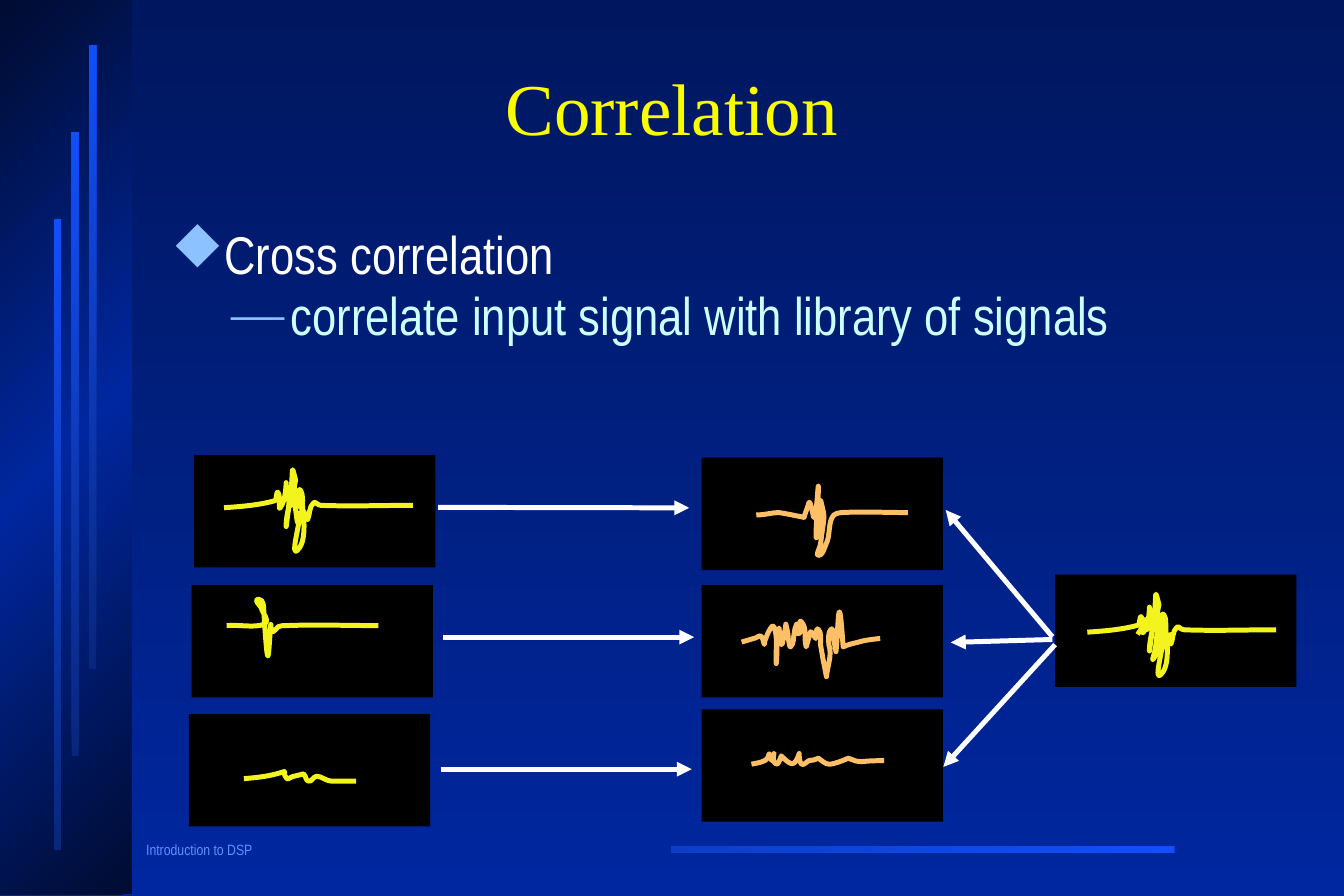
from lxml import etree
from pptx import Presentation
from pptx.dml.color import RGBColor
from pptx.enum.shapes import MSO_CONNECTOR, MSO_SHAPE
from pptx.enum.text import MSO_ANCHOR, PP_ALIGN
from pptx.oxml.ns import qn
from pptx.util import Pt

RECTANGLE = MSO_SHAPE.RECTANGLE
STRAIGHT = MSO_CONNECTOR.STRAIGHT
LEFT, CENTER = PP_ALIGN.LEFT, PP_ALIGN.CENTER
TOP, MIDDLE = MSO_ANCHOR.TOP, MSO_ANCHOR.MIDDLE
BODY_FONT, TITLE_FONT, SYMBOL_FONT = "Arial Narrow", "Times New Roman", "Wingdings"
YELLOW, ORANGE, WHITE, BULLET = "F3F31D", "FEC066", "FFFFFF", "8CC2FF"

GRID = 0.72  # points per trace unit
PANEL_SIZE = (145.4, 67.7)

# Traces: a start point, then three Bezier points per curve
PULSE = """188,425 202,424 217,423 231,419 232,417 232,411 233,412 236,416 233,428 235,425
240,419 240,404 240,404 240,408 241,412 242,417 242,419 243,425 244,423 247,417 246,409 248,402
244,387 246,392 244,412 243,417 242,422 242,427 241,431 240,444 240,440 240,435 241,430 242,425
243,421 246,412 246,412 247,417 247,422 248,427 250,441 249,440 252,429 251,440 243,468 250,460
258,452 254,427 254,427 253,422 255,415 252,410 250,407 249,417 250,421 250,423 253,425 254,427
256,430 257,433 258,435 260,431 259,424 263,421 264,419 266,423 269,423 294,424 320,423 346,423"""
SPIKE = """190,524 200,523 213,526 221,523 227,520 220,514 219,509 218,507 212,502 217,502
221,502 221,509 221,509 225,576 225,544 227,523 228,525 226,527 229,529 231,529 231,526 233,525
235,524 237,524 240,524 265,523 291,524 317,524"""
RIPPLE = """204,652 216,651 226,650 238,646 238,648 238,651 240,652 241,653 244,650 246,650
249,649 251,649 254,648 256,650 256,654 258,654 261,655 262,650 265,650 269,650 273,654 277,654
284,654 291,654 298,654"""
PULSE_NOISE = """952,531 953,529 955,527 956,525 960,518 957,514 960,527 962,525 964,523 965,521
968,514 965,509 969,525 968,531 968,536 967,542 965,553 962,556 969,546 970,535 972,527 975,517
974,525 973,533 973,542 973,544 973,536 975,533 976,532 981,531 981,531"""
SHARP_MATCH = """633,431 640,431 646,429 652,429 659,430 673,433 673,433 674,429 676,425 677,421
678,417 681,433 681,433 682,431 683,429 683,427 684,421 685,402 685,408 685,422 683,436 683,450
683,453 685,443 685,440 686,433 687,426 687,419 691,436 690,429 687,454 687,458 682,465 685,465
689,465 690,458 692,454 695,448 693,436 698,431 699,430 702,429 704,429 723,428 742,429 760,429"""
NOISY_MATCH = """621,538 624,537 628,536 631,535 633,535 636,532 637,533 639,534 639,538 640,540
640,538 641,535 642,533 643,530 647,522 648,525 652,535 649,546 650,556 651,547 650,536 652,527
653,523 652,536 654,540 655,542 656,535 656,533 657,530 658,526 658,523 659,527 660,531 660,535
661,538 661,543 662,542 665,539 664,535 665,531 665,528 666,526 667,523 667,526 666,532 669,531
672,530 668,518 671,521 676,526 673,535 675,542 680,527 677,526 683,535 684,533 683,525 685,527
688,530 687,535 687,540 693,574 686,535 692,567 693,557 697,549 694,540 694,535 693,530 696,527
698,525 697,533 698,535 699,539 699,542 700,546 702,527 702,484 706,542 710,540 715,539 719,538
725,536 737,535 737,535"""
FAINT_MATCH = """629,640 633,639 636,639 640,637 646,634 642,625 646,637 651,622 644,638 650,640
652,640 653,635 654,633 662,641 665,643 669,631 669,634 669,638 671,640 673,641 675,638 677,637
680,637 683,636 685,635 688,637 691,640 694,640 699,640 710,635 710,635 724,640 714,637 740,637"""

# Panel corner, colour, and each trace with its start inside the panel
PANELS = [
    ((117, 274.3), YELLOW, [(PULSE, 18, 31.7)]),
    ((115.5, 352.6), YELLOW, [(SPIKE, 21.1, 24.5)]),
    ((113.9, 430.4), YELLOW, [(RIPPLE, 33.1, 38.9)]),
    ((635.9, 346.4), YELLOW, [(PULSE, 19.4, 34.6), (PULSE_NOISE, 49.7, 36)]),
    ((422.9, 275.9), ORANGE, [(SHARP_MATCH, 32.9, 34.5)]),
    ((422.9, 352.6), ORANGE, [(NOISY_MATCH, 24.1, 34.4)]),
    ((422.9, 427.5), ORANGE, [(FAINT_MATCH, 30, 33.1)]),
]
ARROWS = [
    (264, 305.8, 415.4, 306.1), (267, 384, 418.4, 384), (265.5, 463.6, 416.9, 463.6),
    (634.3, 383.8, 570, 307.4), (634.3, 385.4, 573, 387.2), (635.9, 388.5, 568.6, 462.2),
]


def color(value):
    return RGBColor.from_string(value)


def set_gradient(fill, element, stops, angle):
    fill.gradient()
    fill.gradient_angle = angle
    stop_list = next(element.iter(qn("a:gsLst")))
    for stop in list(stop_list):
        stop_list.remove(stop)
    for i, value in enumerate(stops):
        position = str(100000 * i // (len(stops) - 1))
        stop = etree.SubElement(stop_list, qn("a:gs"), pos=position)
        etree.SubElement(stop, qn("a:srgbClr"), val=value)


def add_block(slide, box, stops, angle=135):
    block = slide.shapes.add_shape(RECTANGLE, *map(Pt, box))
    block.shadow.inherit = False
    block.line.fill.background()
    if len(stops) == 1:
        block.fill.solid()
        block.fill.fore_color.rgb = color(stops[0])
    else:
        set_gradient(block.fill, block.element, stops, angle)


def add_text(frame, text, *, size, ink, font=BODY_FONT, align=LEFT, spacing=0.8,
             before=0, level=0, bullet=None, bullet_font=None, indent=(0, 0)):
    first = frame.paragraphs[0]
    paragraph = frame.add_paragraph() if first.runs else first
    paragraph.alignment, paragraph.level = align, level
    paragraph.line_spacing, paragraph.space_before = spacing, Pt(before)
    run = paragraph.add_run()
    run.text = text
    run.font.size, run.font.name = Pt(size), font
    run.font.color.rgb = color(ink)
    if bullet:
        props = paragraph._p.get_or_add_pPr()
        props.set("marL", str(Pt(indent[0])))
        props.set("indent", str(Pt(indent[1])))
        bullet_color = etree.SubElement(props, qn("a:buClr"))
        etree.SubElement(bullet_color, qn("a:srgbClr"), val=BULLET)
        typeface = etree.SubElement(props, qn("a:buFont"), typeface=bullet_font)
        if bullet_font == SYMBOL_FONT:
            typeface.set("charset", "2")
        etree.SubElement(props, qn("a:buChar"), char=bullet)


def add_frame(slide, box, anchor=TOP):
    frame = slide.shapes.add_textbox(*map(Pt, box)).text_frame
    frame.word_wrap = True
    frame.vertical_anchor = anchor
    return frame


def add_backdrop(slide, width, height):
    set_gradient(slide.background.fill, slide.element, ["00175F", "00279F"], 270)
    footer = add_frame(slide, (81, height - 36, 108, 16.6))
    add_text(footer, "Introduction to DSP", size=9, ink="618FFD", spacing=0.9)
    add_block(slide, (width / 2 - 0.4, height - 29.9, 303.4, 3.8), ["114FFB", "0D3EC8"])
    add_block(slide, (0, 0, 79.6, height - 0.9), ["000B2F", "00279F", "000B2F"])
    # Staggered stripes on the side band
    for i, length in enumerate((380.2, 375.8, 375.8)):
        add_block(slide, (32.6 + 10.6 * i, 132.2 - 52.5 * i, 4.2, length),
                  ["08277C", "114FFB"])


def add_heading(slide, left, top):
    title = add_frame(slide, (left, top, 643, 90), MIDDLE)
    add_text(title, "Correlation", size=44, ink="FAFD00", font=TITLE_FONT,
             align=CENTER, spacing=0.85)
    body = add_frame(slide, (left + 12.7, top + 114.4, 596.2, 82.1))
    # Code "u" of the symbol font is the diamond
    add_text(body, "Cross correlation", size=32, ink=WHITE, before=20,
             bullet="u", bullet_font=SYMBOL_FONT, indent=(27, -27))
    add_text(body, "correlate input signal with library of signals", size=32,
             ink="CCFFFF", before=6, level=1, bullet="—", bullet_font=TITLE_FONT,
             indent=(72, -36))


def bend(outline):
    """Join every three line segments of an outline into one cubic curve."""
    segments = outline.findall(qn("a:lnTo"))
    for i in range(0, len(segments), 3):
        curve = etree.SubElement(outline, qn("a:cubicBezTo"))
        for segment in segments[i:i + 3]:
            curve.append(segment[0])
            outline.remove(segment)


def add_trace(slide, trace, x, y, ink):
    points = [tuple(map(int, pair.split(","))) for pair in trace.split()]
    x0, y0 = points[0]
    builder = slide.shapes.build_freeform(Pt(x), Pt(y))
    builder.add_line_segments([(Pt(x + (px - x0) * GRID), Pt(y + (py - y0) * GRID))
                               for px, py in points[1:]], close=False)
    signal = builder.convert_to_shape()
    bend(next(signal.element.iter(qn("a:path"))))
    signal.shadow.inherit = False
    signal.fill.background()
    signal.line.color.rgb = color(ink)
    signal.line.width = Pt(3)
    etree.SubElement(signal.line._get_or_add_ln(), qn("a:round"))


def add_panel(slide, corner, ink, traces):
    add_block(slide, (*corner, *PANEL_SIZE), ["000000"])
    for trace, dx, dy in traces:
        add_trace(slide, trace, corner[0] + dx, corner[1] + dy, ink)


def add_arrow(slide, ends):
    arrow = slide.shapes.add_connector(STRAIGHT, *map(Pt, ends))
    arrow.line.color.rgb = color(WHITE)
    arrow.line.width = Pt(3)
    etree.SubElement(arrow.line._get_or_add_ln(), qn("a:tailEnd"), type="triangle")
    etree.SubElement(arrow.element.spPr, qn("a:effectLst"))


def main():
    deck = Presentation()
    deck.slide_width, deck.slide_height = Pt(810), Pt(540)
    slide = deck.slides.add_slide(deck.slide_layouts[6])
    add_backdrop(slide, 810, 540)
    add_heading(slide, 83.5, 23)
    for panel in PANELS:
        add_panel(slide, *panel)
    for ends in ARROWS:
        add_arrow(slide, ends)
    deck.save("out.pptx")


if __name__ == "__main__":
    main()
